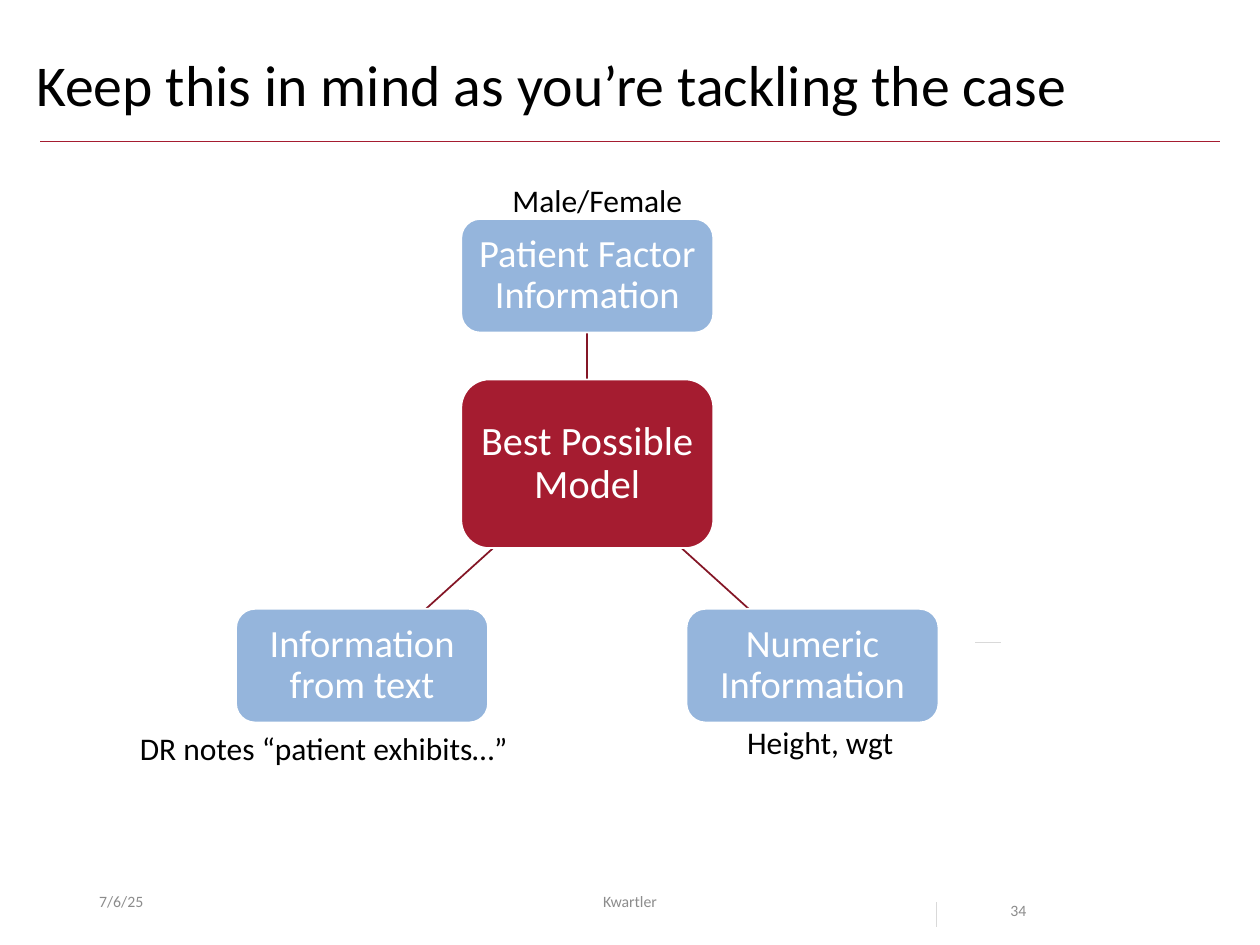
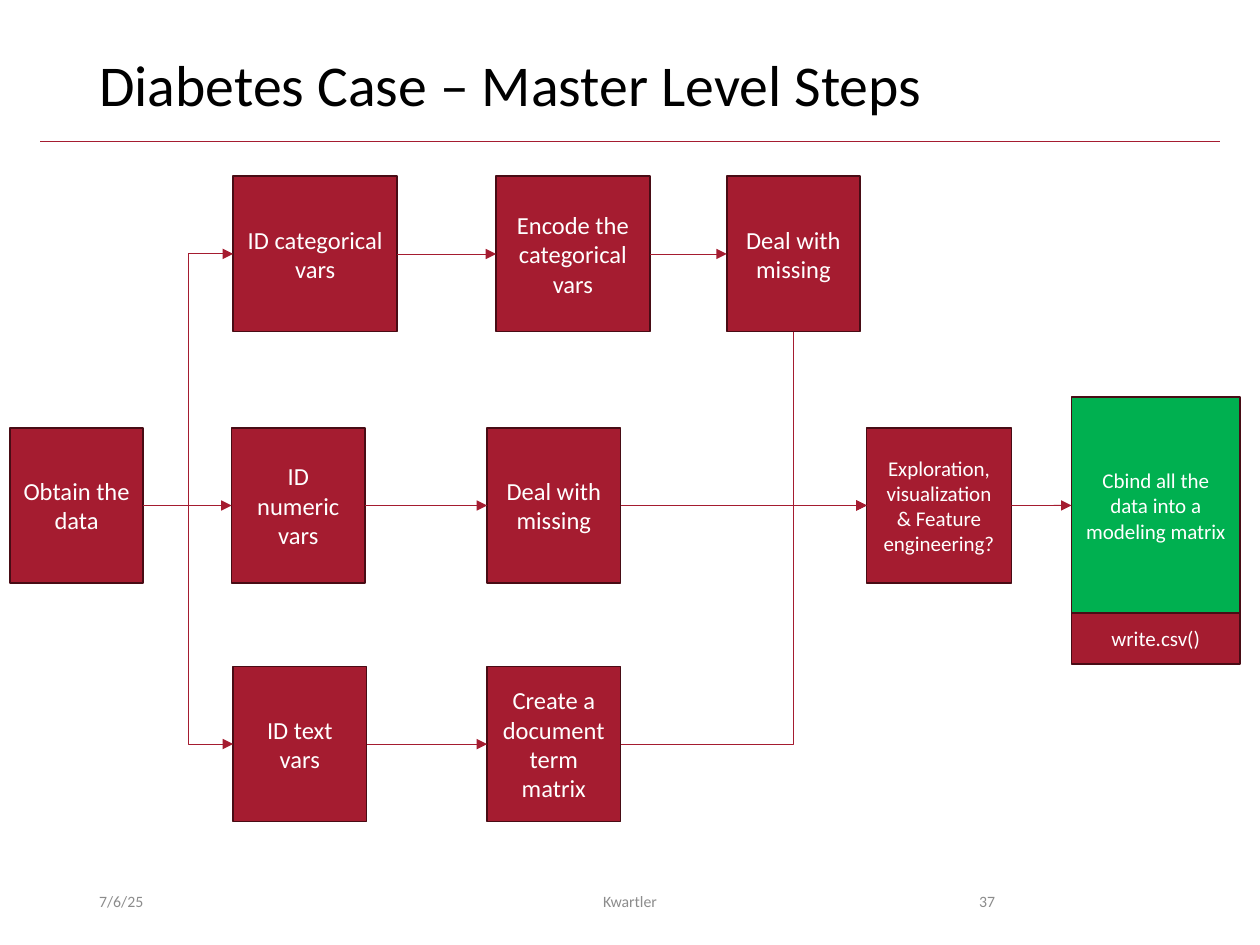
from lxml import etree
from pptx import Presentation
from pptx import util as u
from pptx.dml.color import RGBColor
from pptx.enum import shapes, text
from pptx.oxml.ns import qn

CRIMSON, DARK, BLUE, GREEN = "A51C30", "480C15", "95B5DC", "00B050"
SPOKE, WHITE, BLACK, GREY, PALE = "841626", "FFFFFF", "000000", "8C8C8C", "D9D9D9"
LEFT, CENTER, RIGHT = text.PP_ALIGN.LEFT, text.PP_ALIGN.CENTER, text.PP_ALIGN.RIGHT
TOP, MIDDLE = text.MSO_ANCHOR.TOP, text.MSO_ANCHOR.MIDDLE
RECT, ROUNDED = shapes.MSO_SHAPE.RECTANGLE, shapes.MSO_SHAPE.ROUNDED_RECTANGLE
STRAIGHT, ELBOW = shapes.MSO_CONNECTOR.STRAIGHT, shapes.MSO_CONNECTOR.ELBOW
LEFT_SITE, BOTTOM_SITE, RIGHT_SITE = 1, 2, 3


def rgb(hex_colour):
    return RGBColor.from_string(hex_colour)


def cm(*lengths):
    return [u.Cm(length) for length in lengths]


def write(shape, words, size=18, colour=BLACK, align=LEFT, anchor=TOP,
          spacing=None, wrap=True, side_margin=0.25):
    frame = shape.text_frame
    frame.word_wrap = wrap
    frame.vertical_anchor = anchor
    frame.margin_left = frame.margin_right = u.Cm(side_margin)
    paragraph = frame.paragraphs[0]
    paragraph.text = words
    paragraph.alignment = align
    paragraph.line_spacing = spacing
    font = paragraph.font
    font.name, font.size = "Calibri", u.Pt(size)
    font.color.rgb = rgb(colour)


class Deck:
    def __init__(self):
        self.file = Presentation()
        self.file.slide_width, self.file.slide_height = cm(25.4, 19.05)
        self.slide = None

    def start(self, title, number, title_left=1.75, number_left=17.93, **number_format):
        self.slide = self.file.slides.add_slide(self.file.slide_layouts[6])
        self.line(0.81, 2.85, 24.59, 2.85)
        self.label(title, title_left, 1.02, 23.65 - title_left, 1.65, size=33, spacing=0.9)
        self.footer("7/6/25", 1.75, 5.72)
        self.footer("Kwartler", 8.41, 8.58, align=CENTER)
        self.footer(number, number_left, 2.38, **number_format)

    def footer(self, words, left, width, **text_format):
        self.label(words, left, 17.65, width, 1.02, size=9, colour=GREY,
                   anchor=MIDDLE, **text_format)

    def label(self, words, left, top, width, height=1.02, **text_format):
        write(self.slide.shapes.add_textbox(*cm(left, top, width, height)),
              words, **text_format)

    def box(self, words, left, middle, width, height, fill=CRIMSON, outline=DARK,
            kind=RECT, size=14, **text_format):
        """Add a filled box, placed by its left edge and vertical middle."""
        box = self.slide.shapes.add_shape(
            kind, *cm(left, middle - height / 2, width, height))
        box.shadow.inherit = False
        box.fill.solid()
        box.fill.fore_color.rgb = rgb(fill)
        box.line.color.rgb = rgb(outline)
        box.line.width = u.Pt(1)
        write(box, words, size, WHITE, CENTER, MIDDLE, **text_format)
        return box

    def line(self, x1, y1, x2, y2, colour=CRIMSON, weight=0.5, kind=STRAIGHT, arrow=False):
        line = self.slide.shapes.add_connector(kind, *cm(x1, y1, x2, y2))
        line.line.color.rgb = rgb(colour)
        line.line.width = u.Pt(weight)
        properties = line.element.spPr
        if arrow:
            etree.SubElement(properties.find(qn("a:ln")), qn("a:tailEnd"), type="triangle")
        etree.SubElement(properties, qn("a:effectLst"))
        return line

    def arrow(self, source, target, kind=STRAIGHT, site=RIGHT_SITE):
        arrow = self.line(0, 0, 1, 1, kind=kind, arrow=True)
        arrow.begin_connect(source, site)
        arrow.end_connect(target, LEFT_SITE)
        return arrow

    def arrow_bending_at(self, x, source, target):
        arrow = self.arrow(source, target, ELBOW)
        share = (x - arrow.begin_x) / (arrow.end_x - arrow.begin_x)
        guides = arrow.element.spPr.find(qn("a:prstGeom")).find(qn("a:avLst"))
        etree.SubElement(guides, qn("a:gd"), name="adj1", fmla=f"val {round(share * 100000)}")

    def arrow_down_then_right(self, source, target):
        """Use a one-bend connector, which has to be turned to start downwards."""
        arrow = self.arrow(source, target, ELBOW, BOTTOM_SITE)
        across, down = arrow.width, arrow.height
        shift = (across - down) // 2
        arrow.left, arrow.top = arrow.left + shift, arrow.top - shift
        arrow.width, arrow.height = down, across
        properties = arrow.element.spPr
        properties.find(qn("a:prstGeom")).set("prst", "bentConnector2")
        frame = properties.find(qn("a:xfrm"))
        frame.set("rot", str(270 * 60000))
        frame.set("flipH", "1")


def model_slide(deck):
    deck.start("Keep this in mind as you’re tackling the case", "34",
               title_left=0.48, number_left=20.12, spacing=2)
    axis, width = 11.84, 5.08
    model_top, model_bottom, sources_top = 7.65, 11.05, 12.27
    deck.line(axis, model_top, axis, 6.71, SPOKE, 1)
    for side in (-1, 1):
        deck.line(axis + side * 1.9, model_bottom, axis + side * 3.25, sources_top, SPOKE, 1)
    for words, offset, middle, height, fill, size in (
            ("Best Possible Model", 0, 9.35, 3.4, CRIMSON, 23),
            ("Patient Factor Information", 0, 5.56, 2.29, BLUE, 22),
            ("Numeric Information", 4.54, 13.42, 2.29, BLUE, 22),
            ("Information from text", -4.54, 13.42, 2.29, BLUE, 22)):
        deck.box(words, axis + offset - width / 2, middle, width, height, fill,
                 WHITE, ROUNDED, size, spacing=0.9, side_margin=0.1)
    for example, left, top, label_width in (
            ("Male/Female", 10.08, 3.53, 3.99),
            ("Height, wgt", 14.81, 14.45, 3.51),
            ("DR notes “patient exhibits…”", 2.57, 14.58, 8.03)):
        deck.label(example, left, top, label_width, wrap=False)
    deck.line(18.87, 18.19, 18.87, 18.69, PALE)
    deck.line(19.66, 12.95, 20.17, 12.95, PALE)


def steps_slide(deck):
    deck.start("Diabetes Case – Master Level Steps", "37", align=RIGHT)
    categorical, numeric, documents = 5.12, 10.19, 15

    def step(words, left, row, width=2.69, height=3.13, **look):
        return deck.box(words, left, row, width, height, **look)

    obtain = step("Obtain the data", 0.2, numeric)
    id_categorical = step("ID categorical vars", 4.7, categorical, 3.31)
    id_numeric = step("ID numeric vars", 4.67, numeric)
    id_text = step("ID text vars", 4.7, documents)
    encode = step("Encode the categorical vars", 10, categorical, 3.1)
    numeric_missing = step("Deal with missing", 9.82, numeric)
    categorical_missing = step("Deal with missing", 14.65, categorical)
    term_matrix = step("Create a document term matrix", 9.82, documents)
    explore = step("Exploration, visualization & Feature engineering?",
                   17.47, numeric, 2.92, size=12)
    bind = step("Cbind all the data into a modeling matrix", 21.6, numeric,
                3.4, 4.37, fill=GREEN, size=12)
    step("write.csv()", 21.6, 12.87, 3.4, 1.02, size=12)

    for branch in (id_categorical, id_text):
        deck.arrow(obtain, branch, ELBOW)
    for source, target in ((obtain, id_numeric), (id_categorical, encode),
                           (encode, categorical_missing), (id_numeric, numeric_missing),
                           (id_text, term_matrix), (numeric_missing, explore),
                           (explore, bind)):
        deck.arrow(source, target)
    deck.arrow_down_then_right(categorical_missing, explore)
    deck.arrow_bending_at(categorical_missing.left + categorical_missing.width // 2,
                          term_matrix, explore)


def main():
    deck = Deck()
    model_slide(deck)
    steps_slide(deck)
    deck.file.save("out.pptx")


if __name__ == "__main__":
    main()
